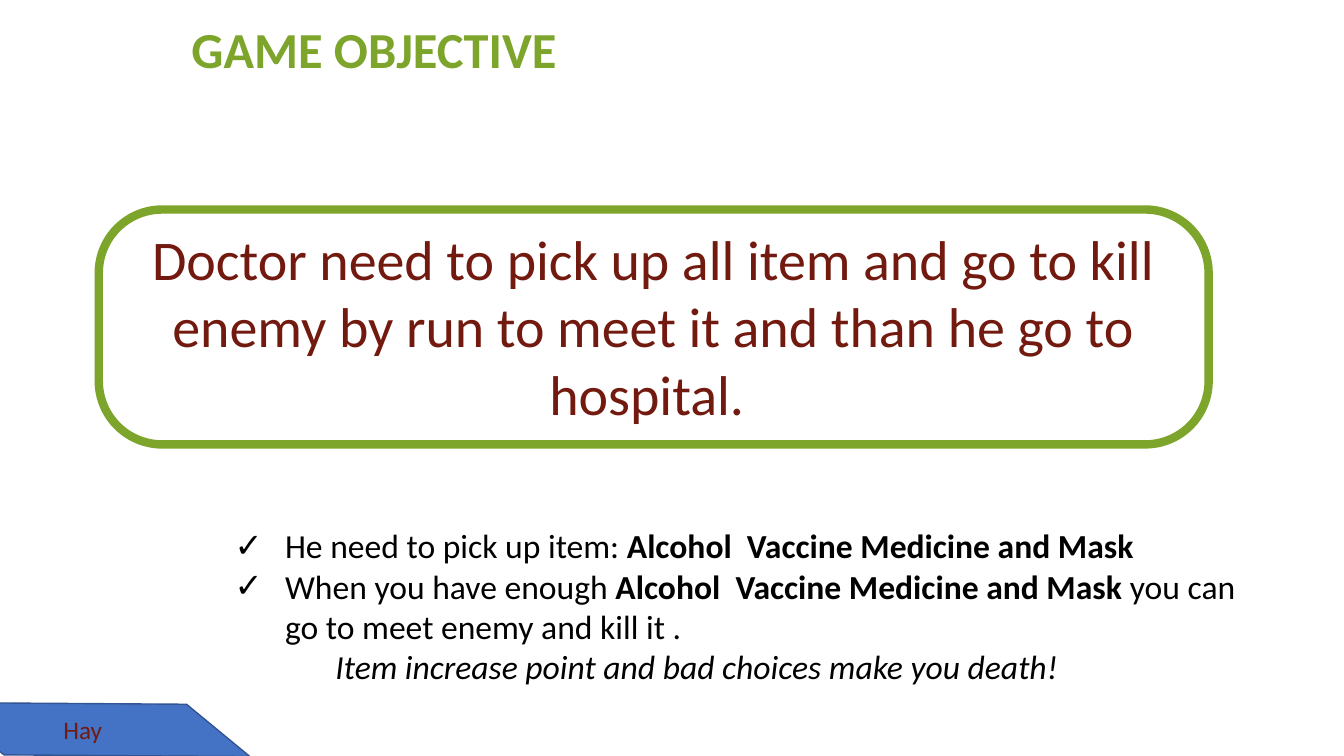
import pptx
import pptx.util
import pptx.dml.color
import pptx.enum.shapes
import pptx.enum.text
import pptx.oxml

Cm = pptx.util.Cm
Pt = pptx.util.Pt
Shape = pptx.enum.shapes.MSO_SHAPE
Text = pptx.enum.text

HUES = {
    "green": "7DA52B",
    "maroon": "721A0F",
    "black": "000000",
    "white": "FFFFFF",
    "blue": "4472C4",
    "navy": "325491",
}


def tint(name):
    return pptx.dml.color.RGBColor.from_string(HUES[name])


def apply(item, form):
    for key, value in form.items():
        setattr(item, key, value)


class Page:
    face = "Calibri"

    def __init__(self, deck):
        self.slide = deck.slides.add_slide(deck.slide_layouts[1])

    def place(self, item, spot):
        keys = ("left", "top", "width", "height")
        apply(item, {key: Cm(size) for key, size in zip(keys, spot)})

    def frame(self, item, wrap=True):
        form = {
            "word_wrap": wrap,
            "auto_size": Text.MSO_AUTO_SIZE.NONE,
            "vertical_anchor": Text.MSO_ANCHOR.TOP,
        }
        apply(item.text_frame, form)
        return item.text_frame

    def phrase(self, para, words, size, hue, **form):
        run = para.add_run()
        run.text = words
        apply(run.font, {"name": self.face, "size": Pt(size), **form})
        run.font.color.rgb = tint(hue)

    def title(self, spot, words, size, hue):
        item = self.slide.shapes.title
        self.place(item, spot)
        para = self.frame(item, False).paragraphs[0]
        para.alignment = Text.PP_ALIGN.LEFT
        self.phrase(para, words, size, hue, bold=True)

    def label(self, spot, words, size, hue, align=Text.PP_ALIGN.LEFT):
        item = self.slide.shapes.add_textbox(*map(Cm, spot))
        para = self.frame(item).paragraphs[0]
        para.alignment = align
        self.phrase(para, words, size, hue)

    def shape(self, kind, spot, bend, fill, edge, width, turn=0):
        item = self.slide.shapes.add_shape(kind, *map(Cm, spot))
        item.adjustments[0] = bend
        item.rotation = turn
        item.shadow.inherit = False
        item.fill.solid()
        item.fill.fore_color.rgb = tint(fill)
        item.line.color.rgb = tint(edge)
        item.line.width = Pt(width)

    def bullet(self, para, mark, left, hang):
        props = para._p.get_or_add_pPr()
        props.set("marL", str(Cm(left)))
        props.set("indent", str(-Cm(hang)))
        tag = f'buChar char="{mark}"' if mark else "buNone"
        space = "http://schemas.openxmlformats.org/drawingml/2006/main"
        props.append(pptx.oxml.parse_xml(f'<a:{tag} xmlns:a="{space}"/>'))

    def list(self, spot, rows, size, hue):
        item = self.slide.placeholders[1]
        self.place(item, spot)
        frame = self.frame(item)
        for rank, (level, mark, parts) in enumerate(rows):
            para = frame.add_paragraph() if rank else frame.paragraphs[0]
            form = {
                "level": level,
                "alignment": Text.PP_ALIGN.LEFT,
                "space_before": Pt(0),
                "line_spacing": 1.0,
            }
            apply(para, form)
            self.bullet(para, mark, 1.27 * (level + 1), 1.27 if mark else 0)
            for words, style in parts:
                self.phrase(para, words, size, hue, **style)


def main():
    deck = pptx.Presentation()
    apply(deck, {"slide_width": Cm(33.87), "slide_height": Cm(19.05)})
    page = Page(deck)
    bold = {"bold": True}
    goods = "Alcohol  Vaccine Medicine and Mask"

    page.shape(Shape.ROUNDED_RECTANGLE, (2.49, 5.28, 27.97, 5.92),
               0.27, "white", "green", 6)
    page.label((3.43, 5.54, 26.06, 5.38),
               "Doctor need to pick up all item and go to kill enemy "
               "by run to meet it and than he go to hospital. ",
               40, "maroon", Text.PP_ALIGN.CENTER)
    page.title((4.57, 0.33, 9.8, 1.8), "GAME OBJECTIVE", 36, "green")
    rows = [
        (0, "✓", [("He need to pick up item: ", {}), (goods, bold)]),
        (0, "✓", [("When you have enough ", {}), (goods + " ", bold),
                  ("you can go to meet enemy and kill it .", {})]),
        (1, "", [("Item increase point and bad choices make you death!",
                  {"italic": True})]),
    ]
    page.list((5.66, 13.11, 26.06, 4.37), rows, 24, "black")
    page.shape(Shape.PARALLELOGRAM, (-1.04, 16.43, 6.88, 3.91),
               1.23, "blue", "navy", 1, 39.5)
    page.label((1.35, 17.88, 3.18, 1.02), "Hay", 18, "maroon")
    deck.save("out.pptx")


if __name__ == "__main__":
    main()
